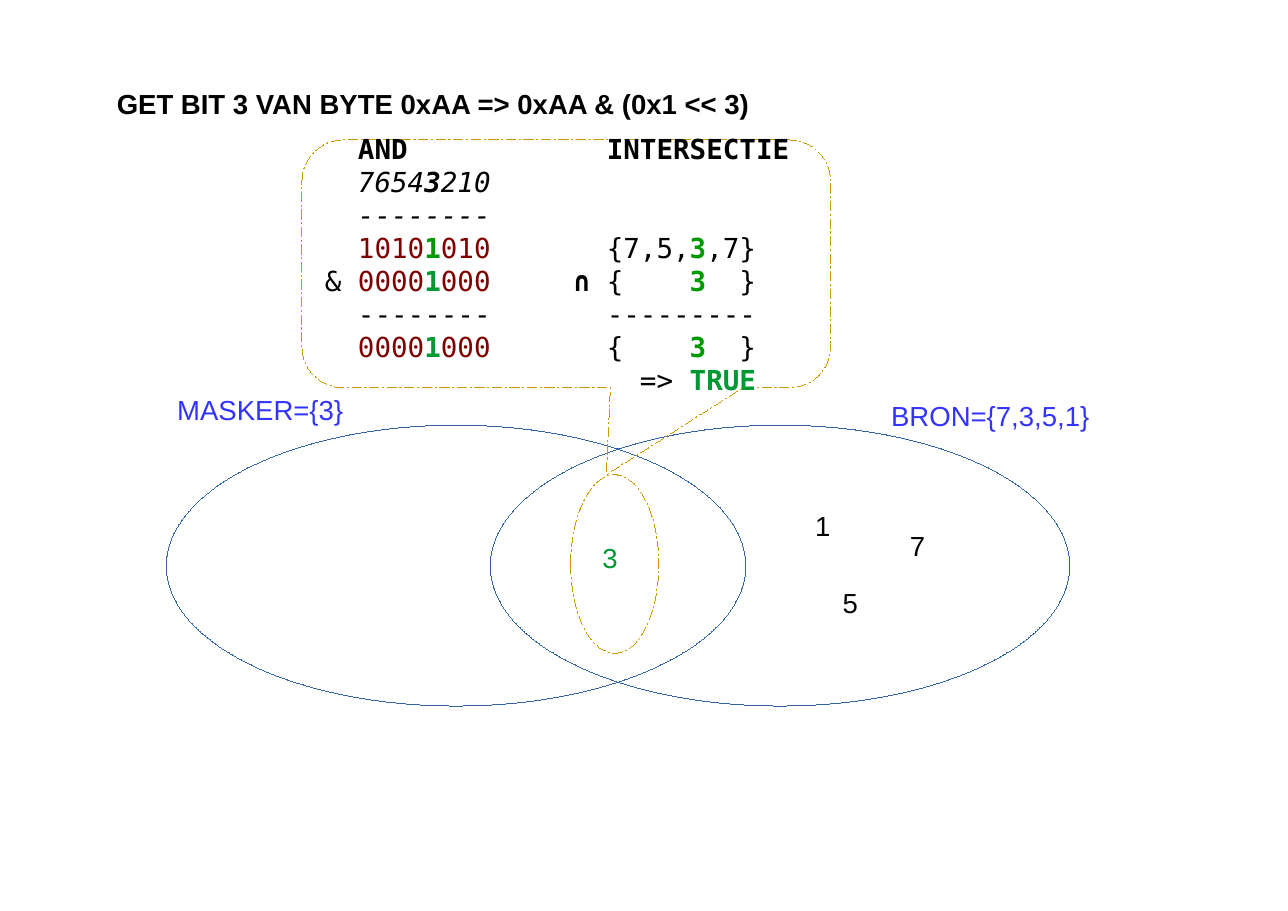
from dataclasses import dataclass

import pptx
import pptx.dml.color
import pptx.enum.dml
import pptx.enum.shapes
import pptx.enum.text
import pptx.oxml.ns
import pptx.util
from lxml import etree
from pptx.util import Inches, Pt


@dataclass(frozen=True)
class Theme:
    black: str = "000000"
    blue: str = "3333FF"
    outline: str = "3465A4"
    gold: str = "CC9900"
    maroon: str = "800000"
    green: str = "009900"
    sea: str = "009933"
    sans: str = "Arial"
    mono: str = "DejaVu Sans Mono"
    size: float = 18
    mono_advance: float = 10.84
    hairline: float = 0.01


THEME = Theme()
SHAPES = pptx.enum.shapes.MSO_SHAPE
ANCHOR = pptx.enum.text.MSO_ANCHOR


@dataclass(frozen=True)
class Box:
    left: float
    top: float
    width: float
    height: float

    def inner(self, left, top, width, height):
        """Box whose corner is measured from the corner of this one."""
        return Box(self.left + left, self.top + top, width, height)

    def lengths(self):
        return [Inches(v) for v in (self.left, self.top, self.width, self.height)]


def write(para, text, color=THEME.black, font=THEME.sans, bold=False, italic=False):
    span = para.add_run()
    span.text = text
    span.font.name = font
    span.font.size = Pt(THEME.size)
    span.font.bold = bold
    span.font.italic = italic
    span.font.color.rgb = pptx.dml.color.RGBColor.from_string(color)


def prepare_frame(shape, anchor=ANCHOR.TOP):
    """Set wrapping, insets and anchor; return the first paragraph."""
    frame = shape.text_frame
    frame.word_wrap = True
    frame.auto_size = pptx.enum.text.MSO_AUTO_SIZE.NONE
    frame.vertical_anchor = anchor
    frame.margin_left = frame.margin_right = Inches(0.1)
    frame.margin_top = frame.margin_bottom = Inches(0.05)
    para = frame.paragraphs[0]
    para.alignment = pptx.enum.text.PP_ALIGN.LEFT
    return para


def add_label(page, box, text, **style):
    write(prepare_frame(page.shapes.add_textbox(*box.lengths())), text, **style)


def add_outline(page, kind, box, color, dashed=False):
    shape = page.shapes.add_shape(kind, *box.lengths())
    shape.shadow.inherit = False
    shape.fill.background()
    shape.line.color.rgb = pptx.dml.color.RGBColor.from_string(color)
    shape.line.width = Pt(THEME.hairline)
    if dashed:
        shape.line.dash_style = pptx.enum.dml.MSO_LINE.LONG_DASH_DOT
    return shape


def set_tabs(para, columns):
    """Put left tab stops at the given monospace character columns."""
    qn = pptx.oxml.ns.qn
    tabs = etree.SubElement(para._p.get_or_add_pPr(), qn("a:tabLst"))
    for column in columns:
        position = Pt(THEME.mono_advance * column)
        etree.SubElement(tabs, qn("a:tab"), pos=str(int(position)), algn="l")


def bits(before, bit, after, color=THEME.sea):
    return [(before, dict(color=THEME.maroon)),
            (bit, dict(color=color, bold=True)),
            (after, dict(color=THEME.maroon))]


def plain(text, **style):
    return [(text, style)]


def calculation_rows():
    """Each row maps a character column to its styled spans."""
    three = plain("3", color=THEME.green, bold=True)
    result_set = {17: plain("{"), 22: three, 25: plain("}")}
    return [
        {2: plain("AND", bold=True), 17: plain("INTERSECTIE", bold=True)},
        {2: [("7654", dict(italic=True)), ("3", dict(italic=True, bold=True)),
             ("210", dict(italic=True))]},
        {2: plain("--------", italic=True)},
        {2: bits("1010", "1", "010", THEME.green),
         17: plain("{7,5,") + three + plain(",7}")},
        {0: plain("&"), 2: bits("0000", "1", "000"),
         15: plain("∩", bold=True), **result_set},
        {2: plain("--------"), 17: plain("---------")},
        {2: bits("0000", "1", "000"), **result_set},
        {19: plain("=>"), 22: plain("TRUE", color=THEME.sea, bold=True)},
    ]


def add_title(page, box):
    title = page.shapes.title
    title.left, title.top, title.width, title.height = box.lengths()
    write(prepare_frame(title), "GET BIT 3 VAN BYTE 0xAA => 0xAA & (0x1 << 3)", bold=True)


def add_calculation(page, box):
    callout = add_outline(page, SHAPES.ROUNDED_RECTANGULAR_CALLOUT, box, THEME.gold, dashed=True)
    for index, value in enumerate((0.076, 0.85, 0.167)):
        callout.adjustments[index] = round(value, 3)
    para = prepare_frame(callout, ANCHOR.MIDDLE)
    for number, row in enumerate(calculation_rows()):
        if number:
            para = callout.text_frame.add_paragraph()
            para.alignment = pptx.enum.text.PP_ALIGN.LEFT
        set_tabs(para, [column for column in row if column])
        for column, spans in row.items():
            if column:
                write(para, "\t", font=THEME.mono)
            for text, style in spans:
                write(para, text, font=THEME.mono, **style)


def add_venn(page, box):
    for left in (0, 2.94):
        add_outline(page, SHAPES.OVAL, box.inner(left, 0.34, 5.26, 2.55), THEME.outline)
    add_outline(page, SHAPES.OVAL, box.inner(3.67, 0.79, 0.8, 1.62), THEME.gold, dashed=True)
    add_label(page, box.inner(0, 0, 2.58, 0.66), "MASKER={3}", color=THEME.blue)
    add_label(page, box.inner(6.48, 0.05, 2.1, 0.59), "BRON={7,3,5,1}", color=THEME.blue)
    members = [("1", 5.79, 1.05, THEME.black), ("7", 6.65, 1.23, THEME.black),
               ("5", 6.04, 1.75, THEME.black), ("3", 3.86, 1.34, THEME.sea)]
    for text, left, top, color in members:
        add_label(page, box.inner(left, top, 0.6, 0.58), text, color=color)


def main():
    deck = pptx.Presentation()
    deck.slide_width, deck.slide_height = Inches(11.69), Inches(8.27)
    page = deck.slides.add_slide(deck.slide_layouts.get_by_name("Title Only"))
    add_title(page, Box(0.96, 0.74, 6.8, 0.66))
    add_venn(page, Box(1.51, 3.52, 8.49, 2.89))
    add_calculation(page, Box(2.74, 1.27, 4.8, 2.25))
    deck.save("out.pptx")


if __name__ == "__main__":
    main()
